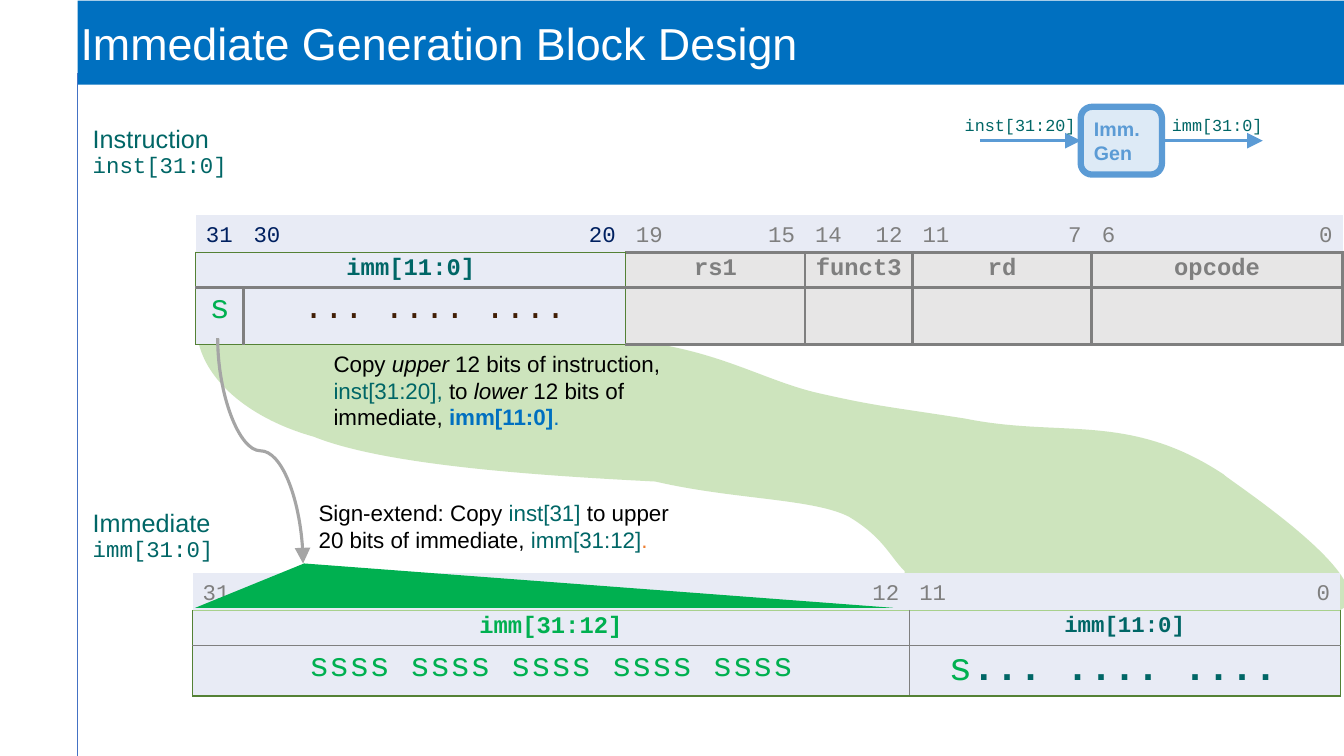
from collections import namedtuple

from lxml.etree import SubElement
from pptx import Presentation
from pptx.dml.color import RGBColor
from pptx.enum.shapes import MSO_CONNECTOR, MSO_SHAPE
from pptx.enum.text import MSO_ANCHOR, PP_ALIGN
from pptx.oxml.ns import qn
from pptx.util import Pt

BLUE = RGBColor(0x00, 0x70, 0xC0)
RULE_BLUE = RGBColor(0x44, 0x72, 0xC4)
BLOCK_BLUE = RGBColor(0x5B, 0x9B, 0xD5)
BLOCK_FILL = RGBColor(0xDD, 0xEA, 0xF6)
NAVY = RGBColor(0x00, 0x20, 0x60)
TEAL = RGBColor(0x00, 0x66, 0x66)
GREEN = RGBColor(0x00, 0xB0, 0x50)
DARK_GREEN = RGBColor(0x54, 0x81, 0x35)
LIGHT_GREEN = RGBColor(0xA8, 0xD0, 0x8C)
GRAY = RGBColor(0x7F, 0x7F, 0x7F)
ARROW_GRAY = RGBColor(0xA5, 0xA5, 0xA5)
BROWN = RGBColor(0x41, 0x1E, 0x05)
ORANGE = RGBColor(0xED, 0x7D, 0x31)
BLACK = RGBColor(0x00, 0x00, 0x00)
WHITE = RGBColor(0xFF, 0xFF, 0xFF)
LAVENDER = RGBColor(0xE8, 0xEB, 0xF5)
PALE_GRAY = RGBColor(0xE7, 0xE6, 0xE6)

SANS, MONO = "Arial", "Courier New"
BIT = 25.6
EDGE, GRID, THIN, SEAM = (DARK_GREEN, 1), (GRAY, 2.25), (GRAY, 1), (LIGHT_GREEN, 1)
Field = namedtuple("Field", "row first last runs fill left right top bottom")


def write(frame, runs, font=SANS, size=16, color=BLACK, bold=False, align=PP_ALIGN.LEFT, spacing=None):
    paragraph = frame.paragraphs[0]
    paragraph.alignment = align
    paragraph.line_spacing = spacing
    for text, style in runs:
        run = paragraph.add_run()
        run.text = text
        run.font.name = style.get("font", font)
        run.font.size = Pt(style.get("size", size))
        run.font.bold = style.get("bold", bold)
        run.font.italic = style.get("italic", False)
        run.font.color.rgb = style.get("color", color)


def add_text(slide, box, runs, **style):
    frame = slide.shapes.add_textbox(*map(Pt, box)).text_frame
    frame.word_wrap = True
    write(frame, runs, **style)


def add_box(slide, kind, box, fill):
    shape = slide.shapes.add_shape(kind, *map(Pt, box))
    shape.shadow.inherit = False
    shape.fill.solid()
    shape.fill.fore_color.rgb = fill
    shape.line.fill.background()
    return shape


def add_line(slide, kind, ends, color, width, arrow=True):
    line = slide.shapes.add_connector(kind, *map(Pt, ends))
    line.line.color.rgb = color
    line.line.width = Pt(width)
    if arrow:
        SubElement(line.line._get_or_add_ln(), qn("a:tailEnd"), type="triangle", w="lg", len="lg")
    SubElement(line._element.spPr, qn("a:effectLst"))
    return line


def draw_frame(slide, box):
    left, top, width, height = box
    banner = add_box(slide, MSO_SHAPE.RECTANGLE, (left, top, width, 60), BLUE)
    frame = banner.text_frame
    frame.margin_left = frame.margin_right = frame.margin_top = frame.margin_bottom = Pt(2)
    frame.vertical_anchor = MSO_ANCHOR.MIDDLE
    write(frame, [("Immediate Generation Block Design", {})], size=32, color=WHITE)
    add_line(slide, MSO_CONNECTOR.STRAIGHT, (left, top + 52, left, top + height), RULE_BLUE, 0.75, arrow=False)


def draw_block(slide, box):
    left, top, width, height = box
    block = add_box(slide, MSO_SHAPE.ROUNDED_RECTANGLE, box, BLOCK_FILL)
    block.line.color.rgb = BLOCK_BLUE
    block.line.width = Pt(4.5)
    block.text_frame.word_wrap = True
    block.text_frame.vertical_anchor = MSO_ANCHOR.MIDDLE
    write(block.text_frame, [("Imm. Gen", {})], size=14, color=BLOCK_BLUE, bold=True)
    middle, right = top + height / 2, left + width
    source = add_line(slide, MSO_CONNECTOR.STRAIGHT, (left - 72, middle, left, middle), BLOCK_BLUE, 2.25)
    source.end_connect(block, 1)
    result = add_line(slide, MSO_CONNECTOR.STRAIGHT, (right, middle, right + 72, middle), BLOCK_BLUE, 2.25)
    result.begin_connect(block, 3)
    for text, x, span in (("inst[31:20]", left - 90, 95), ("imm[31:0]", right, 81)):
        add_text(slide, (x, top + 2.2, span, 21.6), [(text, {})], font=MONO, size=12, color=TEAL)


def draw_copy_band(slide, box):
    left, top, width, height = box
    segments = [
        [(307, 1)], [(371, 7), (404, 30), (444, 39)], [(484, 48), (490, 48), (548, 57)],
        [(617, 71), (665, 52), (733, 97)], [(732, 98), (852, 175), (816, 194)],
        [(508, 194.4)], [(506, 189), (508, 184), (505, 179)], [(505, 166)],
        [(494, 155), (490, 142), (465, 127)], [(439, 114), (383, 115), (327, 102)],
        [(249, 98), (135, 91), (83, 70)], [(40, 58), (6, 32), (0, 0)]]
    outline = slide.shapes.build_freeform(Pt(left), Pt(top))
    outline.add_line_segments([(Pt(left + x), Pt(top + y)) for segment in segments for x, y in segment])
    band = outline.convert_to_shape()
    band.shadow.inherit = False
    band.fill.solid()
    band.fill.fore_color.rgb = LIGHT_GREEN
    band.line.fill.background()
    color = band._element.spPr.find(qn("a:solidFill"))[0]
    SubElement(color, qn("a:alpha"), val="57000")
    track = next(band._element.iter(qn("a:pathLst")))[0]
    steps = iter(track.findall(qn("a:lnTo")))
    for segment in segments:
        first, *others = [next(steps) for point in segment]
        if others:
            first.tag = qn("a:cubicBezTo")
            for step in others:
                first.append(step[0])
                track.remove(step)
    band.width, band.height = Pt(width), Pt(height)
    track.set("w", str(Pt(width)))
    track.set("h", str(Pt(height)))


def style_cell(cell, fill, left=None, right=None, top=None, bottom=None):
    properties = cell._tc.get_or_add_tcPr()
    for side, border in (("L", left), ("R", right), ("T", top), ("B", bottom)):
        color, width = border or (None, 0)
        line = SubElement(properties, qn("a:ln" + side), w=str(Pt(width)))
        if border:
            SubElement(SubElement(line, qn("a:solidFill")), qn("a:srgbClr"), val=str(color))
        else:
            SubElement(line, qn("a:noFill"))
    cell.fill.solid()
    cell.fill.fore_color.rgb = fill


def draw_register(slide, left, top, columns, heights, labels, fields):
    box = (left, top, BIT * sum(columns), sum(heights))
    table = slide.shapes.add_table(3, len(columns), *map(Pt, box)).table
    table.first_row = table.horz_banding = False
    for column, bits in zip(table.columns, columns):
        column.width = Pt(bits * BIT)
    for row, height in zip(table.rows, heights):
        row.height = Pt(height)
    for field in fields:
        for index in range(field.first, field.last + 1):
            style_cell(table.cell(field.row, index), field.fill,
                       field.left if index == field.first else None,
                       field.right if index in (field.first, field.last) else None, field.top, field.bottom)
            if field.row == 1:
                style_cell(table.cell(0, index), LAVENDER, bottom=field.top)
        origin = table.cell(field.row, field.first)
        if field.last > field.first:
            origin.merge(table.cell(field.row, field.last))
        write(origin.text_frame, field.runs, font=MONO, size=17, bold=True, align=PP_ALIGN.CENTER, spacing=0.85)
    for index, text, align, color in labels:
        cell = table.cell(0, index)
        cell.vertical_anchor = MSO_ANCHOR.BOTTOM
        write(cell.text_frame, [(text, {})], font=MONO, color=color, align=align, spacing=0.9)
    for cell in table.iter_cells():
        if not cell.text_frame.text:
            SubElement(cell.text_frame.paragraphs[0]._p, qn("a:endParaRPr"), sz="1200")


def draw_instruction(slide, left, top):
    columns = [1.33, 1.67, 1, 1, 2, 2, 1, 2, 2, 1, 2, 1.5, 1.5, 2, 1, 2, 2, 1, 1, 1, 2]
    start, end = PP_ALIGN.LEFT, PP_ALIGN.RIGHT
    labels = [(0, "31", start, NAVY), (1, "30", start, NAVY), (7, "20", end, NAVY)]
    fields = [
        Field(1, 0, 7, [("imm[11:0]", {"color": TEAL})], LAVENDER, EDGE, EDGE, EDGE, GRID),
        Field(2, 0, 0, [("s", {"size": 24, "bold": False, "color": GREEN})], LAVENDER, EDGE, GRID, GRID, EDGE),
        Field(2, 1, 7, [("... .... ....", {"size": 24, "bold": False, "color": BROWN})],
              LAVENDER, GRID, EDGE, GRID, EDGE)]
    for first, last, name, high, low in ((8, 10, "rs1", "19", "15"), (11, 12, "funct3", "14", "12"),
                                         (13, 15, "rd", "11", "7"), (16, 20, "opcode", "6", "0")):
        labels += [(first, high, start, GRAY), (last, low, end, GRAY)]
        side = EDGE if first == 8 else GRID
        fields += [Field(1, first, last, [(name, {"color": GRAY})], PALE_GRAY, side, GRID, GRID, GRID),
                   Field(2, first, last, [], PALE_GRAY, side, GRID, GRID, GRID)]
    draw_register(slide, left, top, columns, (26.6, 25.2, 40.8), labels, fields)


def draw_immediate(slide, left, top):
    columns = [2, 1, 1, 1, 2, 2, 1, 2, 2, 1, 2, 1.5, 1.5, 2, 1, 2, 2, 1, 1, 0.65, 2.35]
    labels = [(0, "31", PP_ALIGN.LEFT, GRAY), (12, "12", PP_ALIGN.RIGHT, GRAY),
              (13, "11", PP_ALIGN.LEFT, GRAY), (20, "0", PP_ALIGN.RIGHT, GRAY)]
    sign = {"bold": False, "color": GREEN}
    fields = [
        Field(1, 0, 12, [("imm[31:12]", {"color": GREEN})], LAVENDER, EDGE, THIN, SEAM, THIN),
        Field(1, 13, 20, [("imm[11:0]", {"size": 16, "color": TEAL})], LAVENDER, THIN, EDGE, SEAM, THIN),
        Field(2, 0, 12, [("ssss ssss ssss ssss ssss", {"size": 24, **sign})], LAVENDER, EDGE, THIN, THIN, EDGE),
        Field(2, 13, 20, [("s", {"size": 28, **sign}), ("... .... .... ", {"size": 28, "color": TEAL})],
              LAVENDER, THIN, EDGE, THIN, EDGE)]
    draw_register(slide, left, top, columns, (26.6, 25.2, 35.4), labels, fields)


def draw_notes(slide, left, top):
    teal, italic = {"color": TEAL}, {"italic": True}
    add_text(slide, (left, top, 126.7, 46.8),
             [("Instruction", {"size": 18}), (" ", {"size": 20, "bold": True}), ("inst[31:0]", {"font": MONO})],
             color=TEAL, spacing=0.9)
    add_text(slide, (left + 172, top + 161.3, 249, 65.5),
             [("Copy ", {}), ("upper", italic), (" 12 bits of instruction, ", {}), ("inst[31:20], ", teal),
              ("to ", {}), ("lower", italic), (" 12 bits of immediate, ", {}),
              ("imm[11:0]", {"color": BLUE, "bold": True}), (".", {"color": BLUE})])
    add_text(slide, (left, top + 276.5, 115.2, 44.6),
             [("Immediate ", {"size": 18}), ("imm[31:0]", {"font": MONO})], color=TEAL, spacing=0.9)
    add_text(slide, (left + 161.3, top + 267.8, 273.6, 46),
             [("Sign-extend: Copy ", {}), ("inst[31] ", teal), ("to upper 20 bits of immediate, ", {}),
              ("imm[31:12]", teal), (".", {"color": ORANGE})])


def draw_sign_extension(slide, box):
    left, top, width, height = box
    fan = add_box(slide, MSO_SHAPE.ISOSCELES_TRIANGLE, box, GREEN)
    fan.adjustments[0] = 0.156
    drop, shift = 161, 61
    x, y = left + 46.5 - drop / 2, top - drop / 2 - shift / 2
    arrow = add_line(slide, MSO_CONNECTOR.CURVE, (x, y, x + drop, y + shift), ARROW_GRAY, 2.25)
    transform = arrow._element.spPr.find(qn("a:xfrm"))
    transform.set("rot", "16200000")
    transform.set("flipH", "1")


def main():
    presentation = Presentation()
    presentation.slide_width, presentation.slide_height = Pt(960), Pt(540)
    slide = presentation.slides.add_slide(presentation.slide_layouts[6])
    draw_frame(slide, (55.5, 0.5, 904.5, 539.5))
    draw_copy_band(slide, (141.2, 242, 822.2, 194.4))
    draw_block(slide, (772, 76.3, 58, 48.4))
    draw_instruction(slide, 139.9, 153.6)
    draw_immediate(slide, 137.6, 409.5)
    draw_notes(slide, 59.2, 85)
    draw_sign_extension(slide, (139.5, 402.5, 498.5, 31.7))
    presentation.save("out.pptx")


if __name__ == "__main__":
    main()
